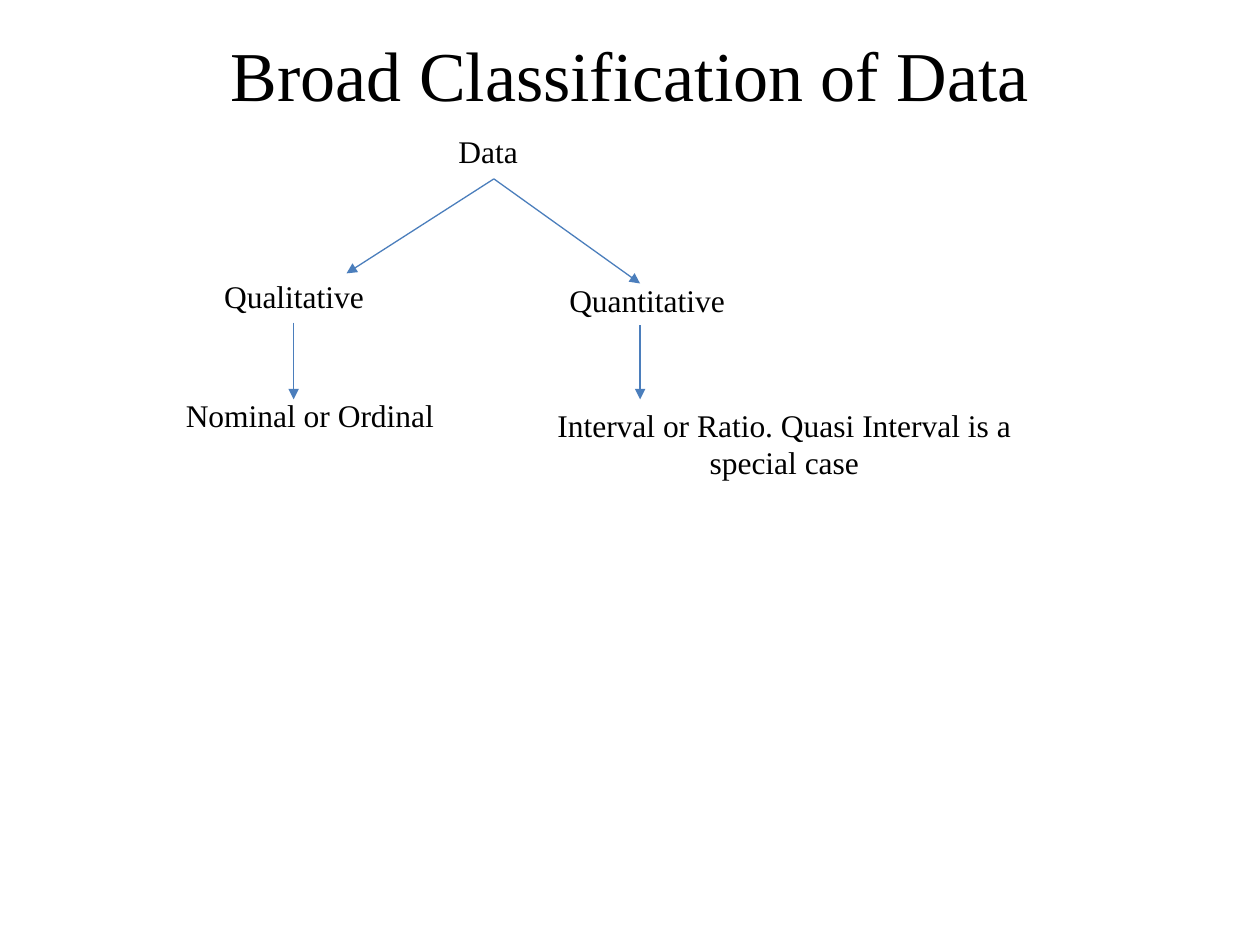
from pptx import Presentation
from pptx.dml.color import RGBColor
from pptx.enum.shapes import MSO_CONNECTOR
from pptx.enum.text import MSO_ANCHOR, PP_ALIGN
from pptx.oxml.ns import qn
from pptx.util import Inches, Pt
from lxml import etree

# Content: text, box (left, top, width, height), alignment
TITLE = "Broad Classification of Data"
TITLE_BOX = (0.5, 0.17, 9, 0.83)
LABELS = [
    ("Data", (3.54, 1, 0.75, 0.42), PP_ALIGN.LEFT),
    ("Qualitative", (1.68, 2.15, 1.92, 0.4), PP_ALIGN.LEFT),
    ("Quantitative", (4.42, 2.18, 4.04, 0.4), PP_ALIGN.LEFT),
    ("Nominal or Ordinal", (0.75, 3.09, 3.42, 0.4), PP_ALIGN.CENTER),
    ("Interval or Ratio. Quasi Interval is a special case",
     (4.08, 3.17, 4.29, 0.71), PP_ALIGN.CENTER),
]
ROOT = (3.92, 1.42)
ARROWS = [
    (ROOT, (2.75, 2.17)),
    (ROOT, (5.08, 2.25)),
    ((2.33, 2.56), (2.33, 3.17)),
    ((5.08, 2.58), (5.08, 3.17)),
]


def color(value):
    return RGBColor.from_string(value)


def write(tf, text, size, align, anchor):
    tf.word_wrap = True
    tf.vertical_anchor = anchor
    p = tf.paragraphs[0]
    p.alignment = align
    r = p.add_run()
    r.text = text
    for name, value in {"name": "Times New Roman", "size": Pt(size)}.items():
        setattr(r.font, name, value)
    r.font.color.rgb = color("000000")


def add_arrow(s, start, end):
    line = s.shapes.add_connector(
        MSO_CONNECTOR.STRAIGHT, *[Inches(v) for v in start + end])
    line.line.color.rgb = color("4B7EBC")
    line.line.width = Pt(0.75)
    etree.SubElement(line.line._get_or_add_ln(), qn("a:tailEnd"), type="triangle")
    etree.SubElement(line._element.spPr, qn("a:effectLst"))


prs = Presentation()
prs.slide_width, prs.slide_height = Inches(10), Inches(7.5)
s = prs.slides.add_slide(prs.slide_layouts[5])

# Title
title = s.shapes.title
for side, value in zip(("left", "top", "width", "height"), TITLE_BOX):
    setattr(title, side, Inches(value))
write(title.text_frame, TITLE, 40, PP_ALIGN.CENTER, MSO_ANCHOR.MIDDLE)

# Tree labels
for text, box, align in LABELS:
    sp = s.shapes.add_textbox(*[Inches(v) for v in box])
    write(sp.text_frame, text, 18, align, MSO_ANCHOR.TOP)

# Tree branches
for start, end in ARROWS:
    add_arrow(s, start, end)

prs.save("out.pptx")
